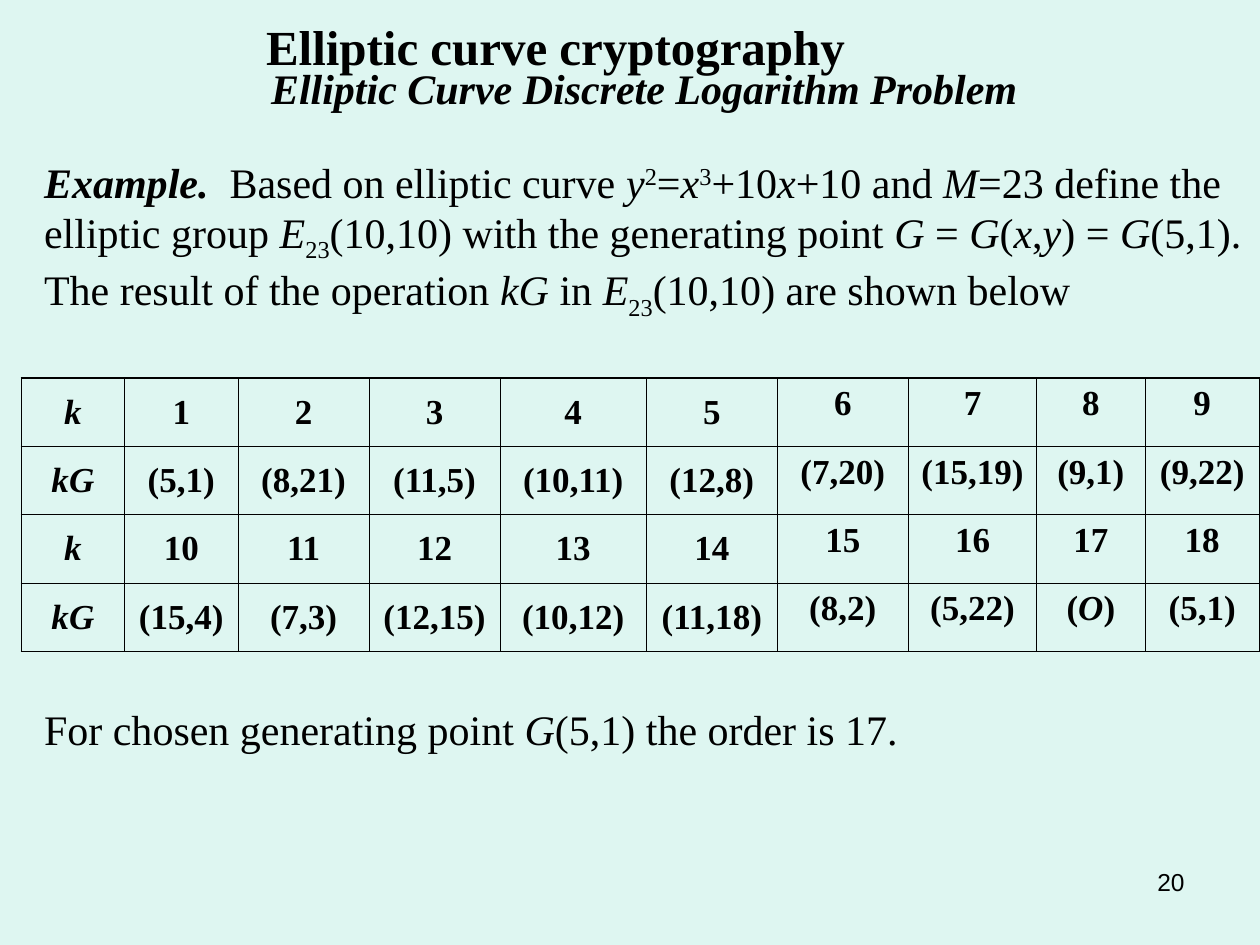
from lxml.etree import SubElement
from pptx import Presentation
from pptx.dml.color import RGBColor
from pptx.enum.text import MSO_ANCHOR, MSO_AUTO_SIZE, PP_ALIGN
from pptx.oxml.ns import qn
from pptx.util import Cm, Pt

SERIF, SANS = "Times New Roman", "Arial"
BLACK, MINT = "000000", "DEF6F1"

# Content: spans are (text, style); b bold, i italic, ^ superscript, _ subscript
TITLE = [("Elliptic curve cryptography", "b", 28, 3.43),
         ("Elliptic Curve Discrete Logarithm Problem", "bi", 24, 3.53)]
EXAMPLE = [
    ("Example. ", "bi"), (" Based on elliptic curve ", ""),
    ("y", "i"), ("2", "^"), ("=", ""), ("x", "i"), ("3", "^"), ("+10", ""),
    ("x", "i"), ("+10 and ", ""), ("M", "i"),
    ("=23 define the elliptic group ", ""), ("E", "i"), ("23", "_"),
    ("(10,10) with the generating point ", ""), ("G ", "i"), ("= ", ""),
    ("G", "i"), ("(", ""), ("x", "i"), (",", ""), ("y", "i"), (") = ", ""),
    ("G", "i"), ("(5,1). The result of the operation ", ""), ("kG", "i"),
    (" in ", ""), ("E", "i"), ("23", "_"), ("(10,10) are shown below", ""),
]
CONCLUSION = [("For chosen generating point ", ""), ("G", "i"),
              ("(5,1) the order is 17.", "")]
MULTIPLES = [
    ["k", "1", "2", "3", "4", "5", "6", "7", "8", "9"],
    ["kG", "(5,1)", "(8,21)", "(11,5)", "(10,11)", "(12,8)", "(7,20)",
     "(15,19)", "(9,1)", "(9,22)"],
    ["k", "10", "11", "12", "13", "14", "15", "16", "17", "18"],
    ["kG", "(15,4)", "(7,3)", "(12,15)", "(10,12)", "(11,18)", "(8,2)",
     "(5,22)", "(O)", "(5,1)"],
]
COLUMN_WIDTHS = [2.08, 2.29, 2.64, 2.64, 2.95, 2.64, 2.64, 2.59, 2.18, 2.31]
ROW_HEIGHT = 1.38
MIDDLE_COLUMNS = 6  # the remaining columns are anchored at the top
OUTER_LINE, INNER_LINE = 0.96, 0.45
BASELINES = {"^": "30000", "_": "-25000"}


def color(value):
    return RGBColor.from_string(value)


def add_spans(para, spans, size, font=SERIF):
    for text, style in spans:
        span = para.add_run()
        span.text = text
        span.font.name = font
        span.font.size = Pt(size)
        span.font.bold = "b" in style
        span.font.italic = "i" in style
        span.font.color.rgb = color(BLACK)
        for mark, offset in BASELINES.items():
            if mark in style:
                span._r.get_or_add_rPr().set("baseline", offset)


def add_text(page, place, spans, size, align, anchor, font=SERIF):
    box = page.shapes.add_textbox(*map(Cm, place))
    frame = box.text_frame
    frame.word_wrap = True
    frame.vertical_anchor = anchor
    para = frame.paragraphs[0]
    para.alignment = align
    add_spans(para, spans, size, font)


def set_borders(cell, widths):
    properties = cell._tc.get_or_add_tcPr()
    for side, width in zip("LRTB", widths):
        line = SubElement(properties, qn(f"a:ln{side}"), w=str(Pt(width)))
        fill = SubElement(line, qn("a:solidFill"))
        SubElement(fill, qn("a:srgbClr"), val=BLACK)


def cell_spans(text):
    if text.startswith("k"):
        return [(text, "bi")]
    if "O" in text:
        return [(part, "bi" if part == "O" else "b") for part in text]
    return [(text, "b")]


def add_title(page):
    title = page.shapes.title
    title.left, title.top, title.width, title.height = map(
        Cm, (1.68, 0.48, 20.14, 1.9))
    frame = title.text_frame
    frame.auto_size = MSO_AUTO_SIZE.NONE
    frame.vertical_anchor = MSO_ANCHOR.MIDDLE
    for index, (text, style, size, indent) in enumerate(TITLE):
        para = frame.add_paragraph() if index else frame.paragraphs[0]
        para.alignment = PP_ALIGN.LEFT
        para.line_spacing = 0.75
        para.space_before = Pt(0)
        para._p.get_or_add_pPr().set("marL", str(Cm(indent)))
        add_spans(para, [(text, style)], size)


def add_multiples(page):
    row_count, column_count = len(MULTIPLES), len(COLUMN_WIDTHS)
    table = page.shapes.add_table(
        row_count, column_count, Cm(0.43), Cm(7.62),
        Cm(sum(COLUMN_WIDTHS)), Cm(ROW_HEIGHT * row_count)).table
    table.first_row = table.horz_banding = False
    for column, width in zip(table.columns, COLUMN_WIDTHS):
        column.width = Cm(width)
    for r, values in enumerate(MULTIPLES):
        table.rows[r].height = Cm(ROW_HEIGHT)
        for c, text in enumerate(values):
            cell = table.cell(r, c)
            cell.vertical_anchor = (MSO_ANCHOR.MIDDLE if c < MIDDLE_COLUMNS
                                    else MSO_ANCHOR.TOP)
            outer = (c == 0, c == column_count - 1,
                     r == 0, r == row_count - 1)
            set_borders(cell, [OUTER_LINE if edge else INNER_LINE
                               for edge in outer])
            cell.fill.background()
            para = cell.text_frame.paragraphs[0]
            para.alignment = PP_ALIGN.CENTER
            add_spans(para, cell_spans(text), 20)


def main():
    deck = Presentation()
    deck.slide_width, deck.slide_height = Cm(25.4), Cm(19.05)
    page = deck.slides.add_slide(deck.slide_layouts[5])
    page.background.fill.solid()
    page.background.fill.fore_color.rgb = color(MINT)

    # Title, example, table of multiples, conclusion, page number
    add_title(page)
    add_text(page, (0.64, 3.02, 24.76, 3.58), EXAMPLE, 24,
             PP_ALIGN.LEFT, MSO_ANCHOR.MIDDLE)
    add_multiples(page)
    add_text(page, (0.64, 14.05, 23.16, 1.27), CONCLUSION, 24,
             PP_ALIGN.JUSTIFY, MSO_ANCHOR.MIDDLE)
    add_text(page, (18.21, 17.35, 5.92, 1.32), [("20", "")], 14,
             PP_ALIGN.RIGHT, MSO_ANCHOR.TOP, SANS)
    deck.save("out.pptx")


if __name__ == "__main__":
    main()
